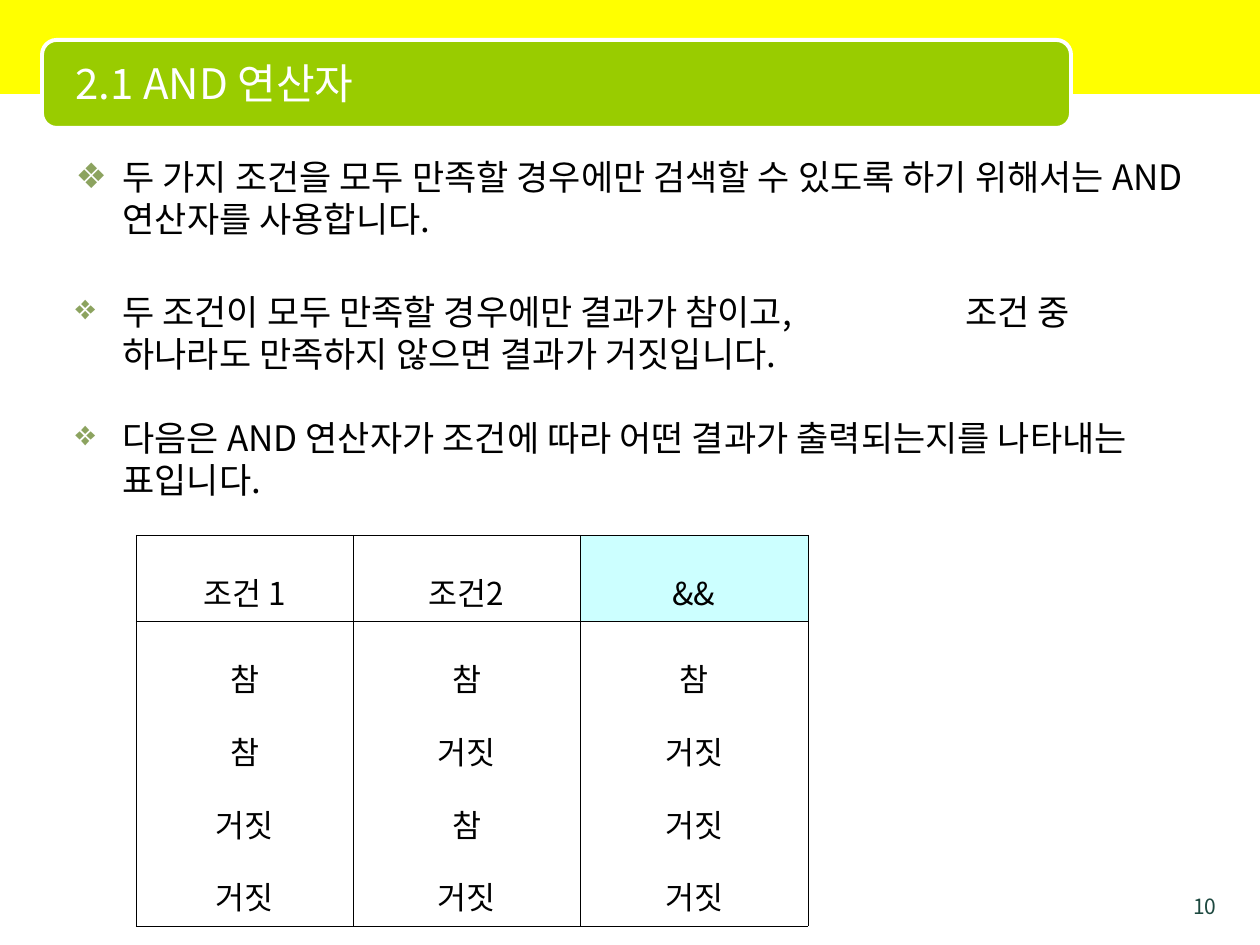
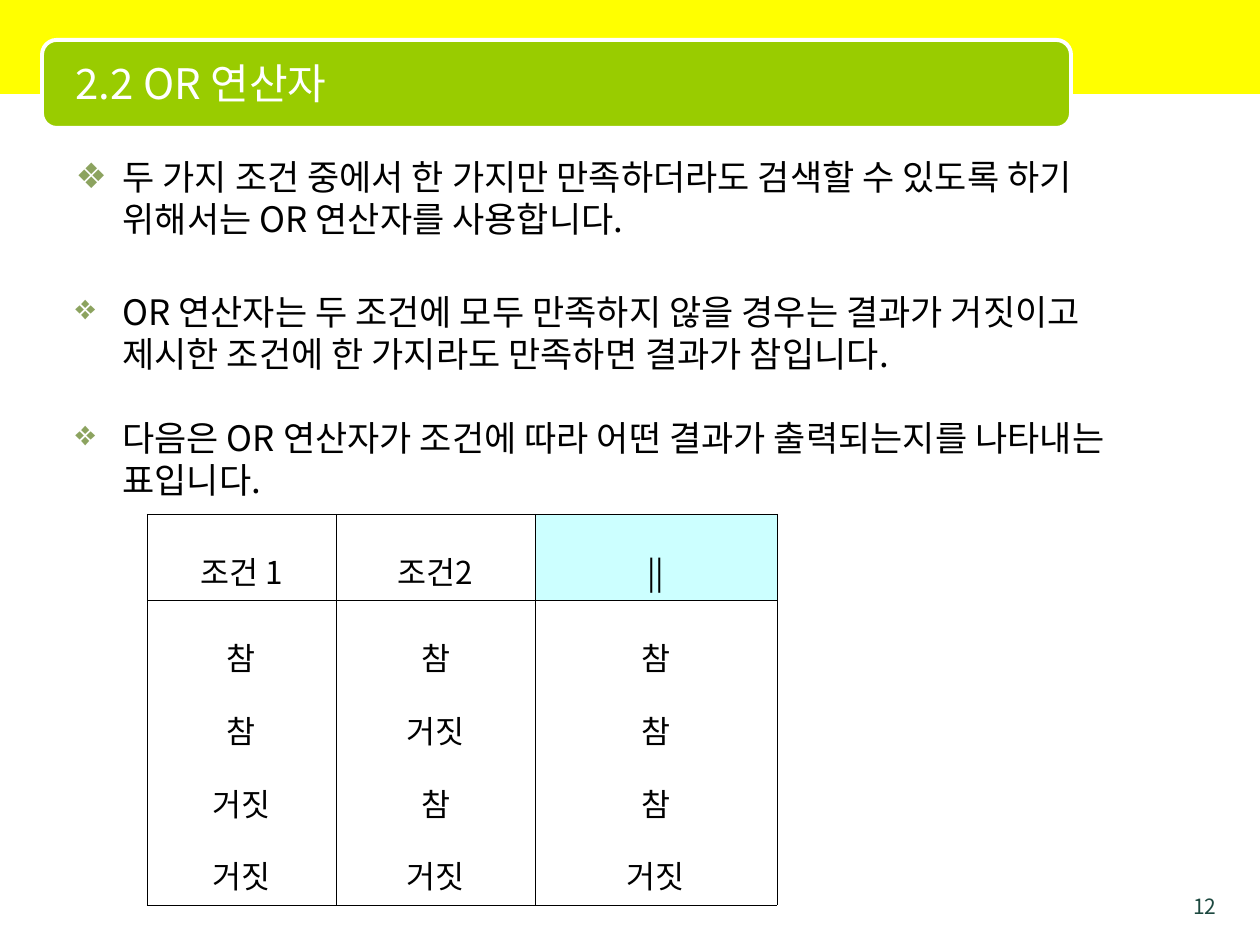
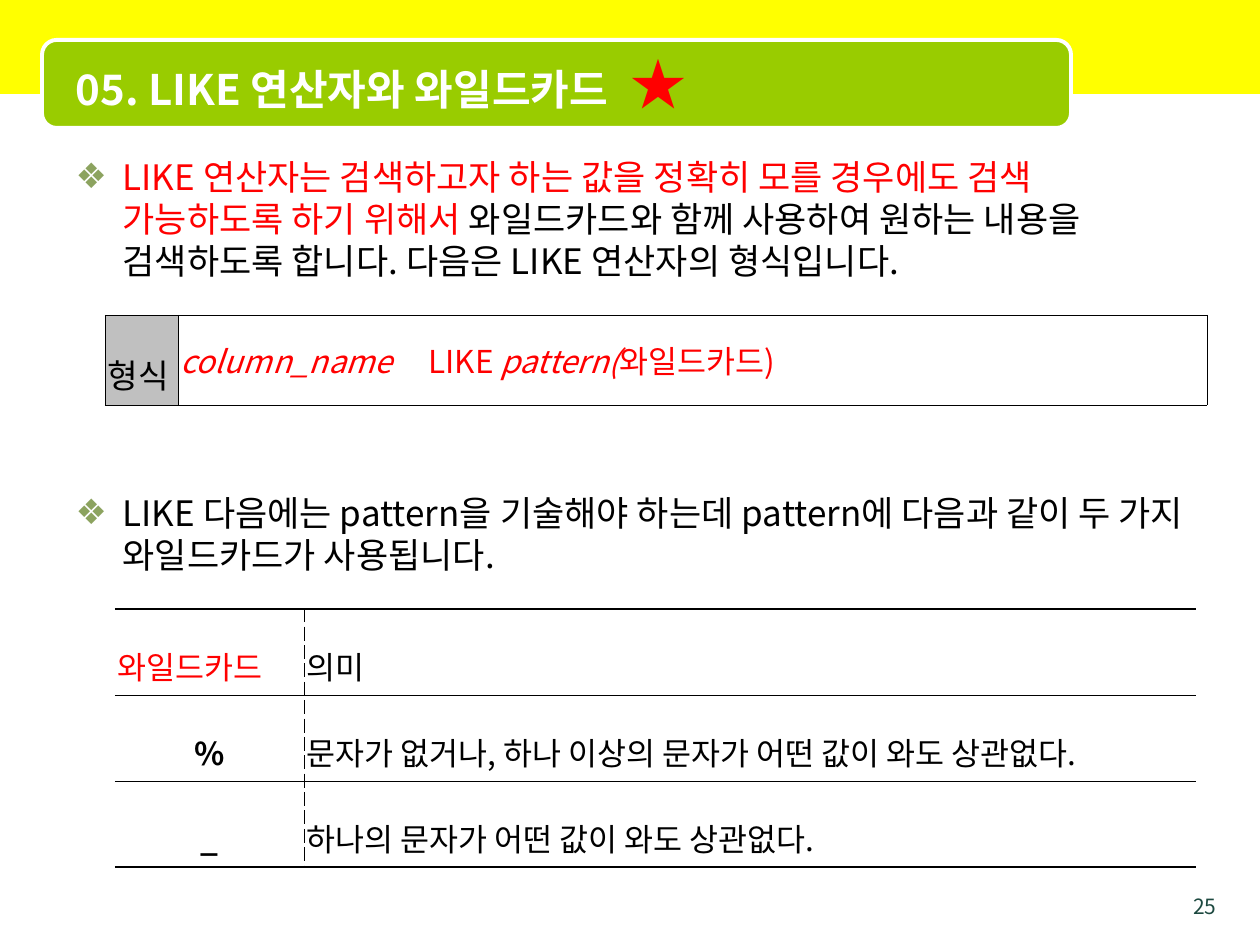
from pptx import Presentation, util as u
from pptx.dml.color import RGBColor
from pptx.enum import shapes, text
from pptx.oxml import xmlchemy

FONT = "Noto Sans CJK KR"
BLACK, WHITE, RED = "000000", "FFFFFF", "FF0000"
YELLOW, GREEN, SAGE, PINE = "FFFF00", "99CC00", "8CA35F", "1D4940"
CYAN, GRAY = "CCFFFF", "C0C0C0"
LEFT, MID, RIGHT = text.PP_ALIGN.LEFT, text.PP_ALIGN.CENTER, text.PP_ALIGN.RIGHT
TOP, CENTER = text.MSO_ANCHOR.TOP, text.MSO_ANCHOR.MIDDLE
TRUE, FALSE = "참", "거짓"
INPUTS = [[TRUE, TRUE, FALSE, FALSE], [TRUE, FALSE, TRUE, FALSE]]
THIN, THICK, DASH = (0.11, "solid"), (0.96, "solid"), (0.28, "dash")
LINE, PAD = 73, 13  # height of a table line, and of a cell's two margins


def px(num):
    return u.Inches(num / 126)


def rgb(code):
    return RGBColor.from_string(code)


def add_xml(root, tag, **attrs):
    node = xmlchemy.OxmlElement(tag)
    for key, val in attrs.items():
        node.set(key, str(val))
    root.append(node)
    return node


def add_run(para, words, size, color=BLACK, bold=False, slant=False):
    run = para.add_run()
    run.text = words
    font = run.font
    font.size, font.bold, font.italic = u.Pt(size), bold, slant
    font.color.rgb = rgb(color)
    font.name = FONT
    props = run._r.get_or_add_rPr()
    props.set("kern", "0")
    add_xml(props, "a:ea", typeface=FONT)


def fill_para(para, runs, size, align=LEFT, color=BLACK):
    """Runs are plain words, or a list of (words, options)."""
    para.alignment = align
    for words, opts in [(runs, {})] if isinstance(runs, str) else runs:
        add_run(para, words, **{"size": size, "color": color, **opts})


def add_tabs(para, *stops):
    tabs = add_xml(para._p.get_or_add_pPr(), "a:tabLst")
    for stop in stops:
        add_xml(tabs, "a:tab", pos=px(stop), algn="l")


def place(shape, left, top, width, height):
    shape.left, shape.top = px(left), px(top)
    shape.width, shape.height = px(width), px(height)


def add_band(slide, kind, box, color, line=None):
    band = slide.shapes.add_shape(kind, *map(px, box))
    band.shadow.inherit = False
    band.fill.solid()
    band.fill.fore_color.rgb = rgb(color)
    if line:
        band.line.color.rgb = rgb(line)
        band.line.width = u.Pt(2.25)
    else:
        band.line.fill.background()
    return band


def style_master(deck, slide):
    """Draw the bands once and move them behind the master's title."""
    kinds = shapes.MSO_SHAPE
    bands = [
        add_band(slide, kinds.RECTANGLE, (0, 0, 1261, 94), YELLOW),
        add_band(slide, kinds.ROUNDED_RECTANGLE, (42, 40, 1029, 88), GREEN, WHITE),
    ]
    head = deck.slide_master.shapes[0].element
    for num, band in enumerate(bands, 101):
        band.element.xpath("p:nvSpPr/p:cNvPr")[0].set("id", str(num))
        head.addprevious(band.element)


def add_title(slide, runs):
    title = slide.shapes.title
    place(title, 63, 44, 998, 78)
    frame = title.text_frame
    frame.auto_size = text.MSO_AUTO_SIZE.NONE
    frame.vertical_anchor = CENTER
    fill_para(frame.paragraphs[0], runs, 24, color=WHITE)


def add_page(slide, num):
    box = slide.shapes.add_textbox(*map(px, (1166, 887, 63, 26)))
    box.text_frame.word_wrap = True
    fill_para(box.text_frame.paragraphs[0], str(num), 12, RIGHT, PINE)


def add_list(shape, items, gap=24, stops=()):
    frame = shape.text_frame
    frame.word_wrap = True
    frame.auto_size = text.MSO_AUTO_SIZE.NONE
    for num, item in enumerate(items):
        para = frame.add_paragraph() if num else frame.paragraphs[0]
        props = para._p.get_or_add_pPr()
        props.set("marL", str(px(47)))
        props.set("indent", str(px(-47)))
        add_xml(add_xml(props, "a:buClr"), "a:srgbClr", val=SAGE)
        add_xml(props, "a:buSzPct", val=100000)
        add_xml(props, "a:buChar", char="❖")
        if stops and "\t" in item:
            add_tabs(para, *stops)
        para.line_spacing = u.Pt(24)
        para.space_before = u.Pt(gap if num else 0)
        fill_para(para, item, 20)


def add_body(slide, width, height, items, gap=24):
    body = slide.placeholders[1]
    place(body, 63, 149, width, height)
    add_list(body, items, gap)


def add_note(slide, width, height, items):
    box = slide.shapes.add_textbox(*map(px, (63, 284, width, height)))
    add_list(box, items, stops=(756, 882))


def add_grid(slide, left, top, cols, lines):
    """Lines gives the number of text lines in each row."""
    rows = [LINE * count + PAD for count in lines]
    frame = slide.shapes.add_table(
        len(rows), len(cols), *map(px, (left, top, sum(cols), sum(rows))))
    grid = frame.table
    grid.first_row = grid.horz_banding = False
    for col, width in zip(grid.columns, cols):
        col.width = px(width)
    for row, height in zip(grid.rows, rows):
        row.height = px(height)
    return grid


def add_edges(cell, **edges):
    """Edges are lnL, lnR, lnT and lnB, each (points, dash)."""
    props = cell._tc.get_or_add_tcPr()
    for num, side in enumerate(("lnL", "lnR", "lnT", "lnB")):
        width, dash = edges.get(side, (0, None))
        line = xmlchemy.OxmlElement("a:" + side)
        line.set("w", str(u.Pt(width)))
        if dash:
            add_xml(add_xml(line, "a:solidFill"), "a:srgbClr", val=BLACK)
            add_xml(line, "a:prstDash", val=dash)
        else:
            add_xml(line, "a:noFill")
        props.insert(num, line)


def box_edges(cell):
    add_edges(cell, lnL=THIN, lnR=THIN, lnT=THIN, lnB=THIN)


def fill_cell(cell, lines, size=18, align=LEFT, back=None, space=1.6, anchor=TOP):
    cell.margin_left = cell.margin_right = u.Inches(0.02)
    cell.vertical_anchor = anchor
    if back:
        cell.fill.solid()
        cell.fill.fore_color.rgb = rgb(back)
    else:
        cell.fill.background()
    frame = cell.text_frame
    for num, line in enumerate(lines):
        para = frame.add_paragraph() if num else frame.paragraphs[0]
        para.line_spacing = space
        fill_para(para, line, size, align)


def add_truth(slide, left, top, cols, sign, result):
    """Truth table: two conditions and the result of the operator."""
    grid = add_grid(slide, left, top, cols, [1, len(result)])
    heads = ["조건 1", "조건2", sign]
    for num, (head, vals) in enumerate(zip(heads, INPUTS + [result])):
        fill_cell(grid.cell(0, num), [head], align=MID, back=CYAN if num == 2 else None)
        fill_cell(grid.cell(1, num), vals, align=MID)
        box_edges(grid.cell(0, num))
        box_edges(grid.cell(1, num))


def add_syntax(slide):
    grid = add_grid(slide, 105, 315, [73, 1029], [1.05])
    label, code = grid.cell(0, 0), grid.cell(0, 1)
    fill_cell(label, ["형식"], size=19, back=GRAY)
    add_tabs(code.text_frame.paragraphs[0], 248)
    red, slant = {"color": RED}, {"color": RED, "slant": True}
    fill_cell(code, [[("column_name", slant), ("\tLIKE ", red),
                      ("pattern(", slant), ("와일드카드)", red)]],
              space=1.0, anchor=CENTER)
    box_edges(label)
    box_edges(code)


def add_wilds(slide):
    rows = [
        ([("와일드카드", {"color": RED})], "의미"),
        ([("%", {"bold": True})], "문자가 없거나, 하나 이상의 문자가 어떤 값이 와도 상관없다."),
        ([("_", {"bold": True})], "하나의 문자가 어떤 값이 와도 상관없다."),
    ]
    grid = add_grid(slide, 115, 609, [189, 892], [1] * len(rows))
    last = len(rows) - 1
    for num, (mark, sense) in enumerate(rows):
        edges = {"lnT": THIN if num else THICK, "lnB": THICK if num == last else THIN}
        fill_cell(grid.cell(num, 0), [mark], align=MID if num else LEFT, back=WHITE)
        fill_cell(grid.cell(num, 1), [sense], back=WHITE)
        add_edges(grid.cell(num, 0), lnR=DASH, **edges)
        add_edges(grid.cell(num, 1), lnL=DASH, **edges)


def add_slide(deck, title, page):
    slide = deck.slides.add_slide(deck.slide_layouts[1])
    add_title(slide, title)
    add_page(slide, page)
    return slide


def main():
    deck = Presentation()
    deck.slide_width, deck.slide_height = px(1260), px(945)

    both = add_slide(deck, "2.1 AND 연산자", 10)
    style_master(deck, both)
    add_body(both, 1144, 702, [
        "두 가지 조건을 모두 만족할 경우에만 검색할 수 있도록 하기 위해서는 AND 연산자를 사용합니다."])
    add_truth(both, 136, 535, [217, 227, 228], "&&", [TRUE, FALSE, FALSE, FALSE])
    add_note(both, 1113, 576, [
        "두 조건이 모두 만족할 경우에만 결과가 참이고, \t\t 조건 중 하나라도 만족하지 않으면 결과가 거짓입니다.",
        "다음은 AND 연산자가 조건에 따라 어떤 결과가 출력되는지를 나타내는 표입니다."])

    either = add_slide(deck, "2.2 OR 연산자", 12)
    add_body(either, 1092, 639, [
        "두 가지 조건 중에서 한 가지만 만족하더라도 검색할 수 있도록 하기 위해서는 OR 연산자를 사용합니다."])
    add_note(either, 1081, 566, [
        "OR 연산자는 두 조건에 모두 만족하지 않을 경우는 결과가 거짓이고 제시한 조건에 한 가지라도 만족하면 결과가 참입니다.",
        "다음은 OR 연산자가 조건에 따라 어떤 결과가 출력되는지를 나타내는 표입니다."])
    add_truth(either, 147, 514, [189, 199, 242], "||", [TRUE, TRUE, TRUE, FALSE])

    like = add_slide(deck, [("05. LIKE 연산자와 와일드카드 ", {"bold": True}),
                            (" ★", {"size": 32, "color": RED})], 25)
    add_body(like, 1134, 774, [
        [("LIKE 연산자는 검색하고자 하는 값을 정확히 모를 경우에도 검색 가능하도록 하기 위해서 ", {"color": RED}),
         ("와일드카드와 함께 사용하여 원하는 내용을 검색하도록 합니다. 다음은 LIKE 연산자의 형식입니다.", {})],
        "LIKE 다음에는 pattern을 기술해야 하는데 pattern에 다음과 같이 두 가지 와일드카드가 사용됩니다."],
        gap=120)
    add_syntax(like)
    add_wilds(like)

    deck.save("out.pptx")


if __name__ == "__main__":
    main()
